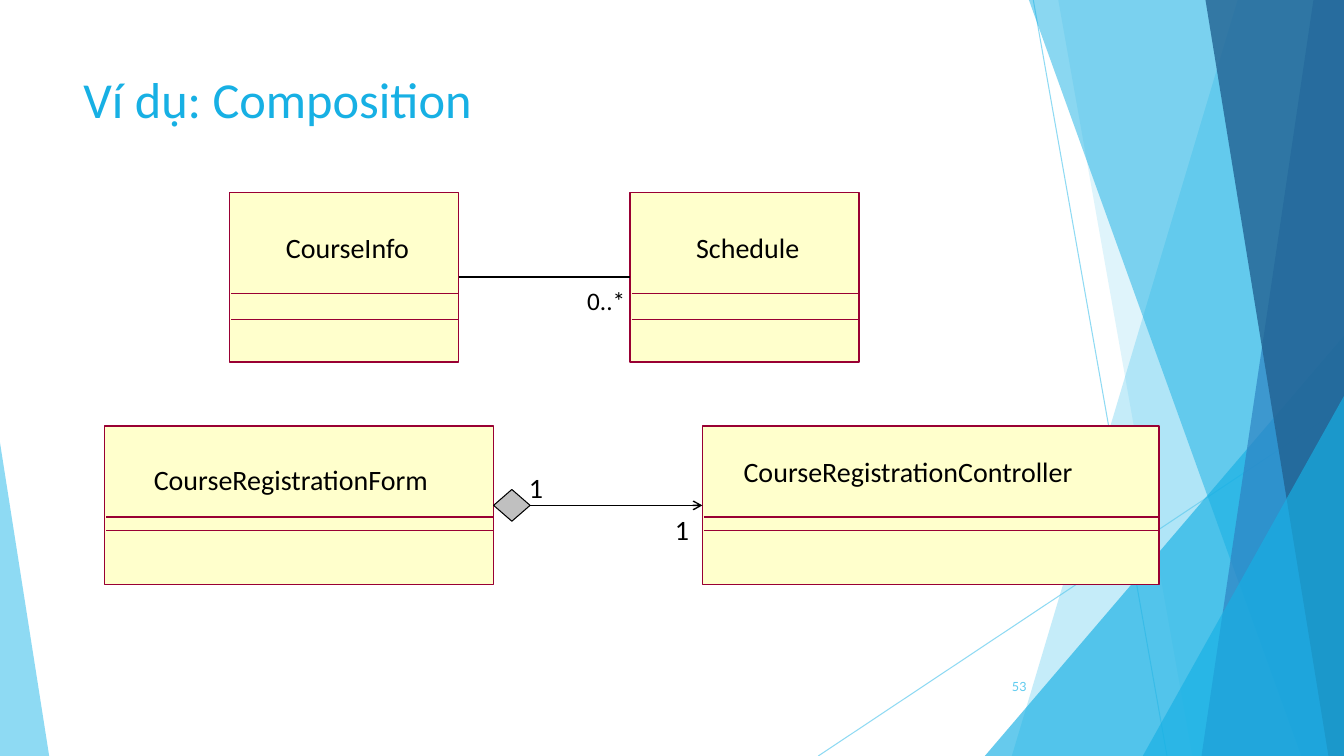
from pptx import Presentation
from pptx.dml.color import RGBColor
from pptx.enum.shapes import MSO_CONNECTOR, MSO_SHAPE
from pptx.enum.text import MSO_ANCHOR, PP_ALIGN
from pptx.oxml.ns import qn
from pptx.oxml.xmlchemy import OxmlElement
from pptx.util import Cm, Pt

STRAIGHT = MSO_CONNECTOR.STRAIGHT
RECTANGLE, DIAMOND, TRIANGLE = MSO_SHAPE.RECTANGLE, MSO_SHAPE.DIAMOND, MSO_SHAPE.ISOSCELES_TRIANGLE
TOP, MIDDLE = MSO_ANCHOR.TOP, MSO_ANCHOR.MIDDLE
LEFT, CENTER, RIGHT = PP_ALIGN.LEFT, PP_ALIGN.CENTER, PP_ALIGN.RIGHT
LEFT_SIDE, RIGHT_SIDE = 1, 3
WIDTH, HEIGHT = 33.87, 19.05


def rgb(value):
    return RGBColor.from_string(value)


class ClassDiagram:
    font = "Calibri"
    ink = "000000"
    border = "990033"
    class_fill = "FFFFCC"
    diamond_fill = "C0C0C0"
    sky, azure, steel, navy = "5FCBEF", "17B0E4", "2E83C3", "226292"

    def __init__(self, deck):
        self.slide = deck.slides.add_slide(deck.slide_layouts[6])
        self.shapes = self.slide.shapes

    def set_opacity(self, parent, percent):
        """Make the solid colour below parent partly transparent."""
        alpha = OxmlElement("a:alpha")
        alpha.set("val", str(percent * 1000))
        next(parent.iter(qn("a:srgbClr"))).append(alpha)

    def paint(self, shape, fill, opacity=100, outline=None, weight=1):
        shape.shadow.inherit = False
        shape.fill.solid()
        shape.fill.fore_color.rgb = rgb(fill)
        if opacity < 100:
            self.set_opacity(shape.element.spPr, opacity)
        if outline:
            shape.line.color.rgb = rgb(outline)
            shape.line.width = Pt(weight)
        else:
            shape.line.fill.background()

    def shape(self, kind, left, top, width, height, fill, **look):
        shape = self.shapes.add_shape(kind, Cm(left), Cm(top), Cm(width), Cm(height))
        self.paint(shape, fill, **look)
        return shape

    def triangle(self, left, top, width, apex, fill, opacity):
        """Draw a triangle standing on the bottom edge of the slide."""
        shape = self.shape(TRIANGLE, left, top, width, HEIGHT - top, fill, opacity=opacity)
        shape.adjustments[0] = apex

    def band(self, top_x, bottom_x, fill, opacity):
        """Fill from a slanted left edge to the right edge of the slide."""
        outline = self.shapes.build_freeform(Cm(top_x), Cm(0))
        corners = [(WIDTH, 0), (WIDTH, HEIGHT), (bottom_x, HEIGHT)]
        outline.add_line_segments([(Cm(x), Cm(y)) for x, y in corners], close=True)
        self.paint(outline.convert_to_shape(), fill, opacity)

    def line(self, x1, y1, x2, y2, color, weight=1, opacity=100, arrow=False):
        line = self.shapes.add_connector(STRAIGHT, Cm(x1), Cm(y1), Cm(x2), Cm(y2))
        line.line.color.rgb = rgb(color)
        line.line.width = Pt(weight)
        properties = line.element.spPr
        stroke = properties.find(qn("a:ln"))
        if opacity < 100:
            self.set_opacity(stroke, opacity)
        if arrow:
            head = OxmlElement("a:tailEnd")
            head.set("type", "arrow")
            stroke.append(head)
        properties.append(OxmlElement("a:effectLst"))
        return line

    def association(self, source, target, arrow=False):
        """Join the right side of source to the left side of target."""
        line = self.line(0, 0, 1, 1, self.ink, arrow=arrow)
        line.begin_connect(source, RIGHT_SIDE)
        line.end_connect(target, LEFT_SIDE)

    def text(self, text, left, top, width, height=1.12, size=20, color=ink,
             font=font, align=LEFT, anchor=TOP):
        box = self.shapes.add_textbox(Cm(left), Cm(top), Cm(width), Cm(height))
        frame = box.text_frame
        frame.word_wrap = True
        frame.vertical_anchor = anchor
        para = frame.paragraphs[0]
        para.alignment = align
        span = para.add_run()
        span.text = text
        span.font.name = font
        span.font.size = Pt(size)
        span.font.color.rgb = rgb(color)

    def class_box(self, name, left, top, width, height, name_area, dividers):
        """Draw a UML class; name_area is (dx, dy, width), dividers are offsets from the top."""
        box = self.shape(RECTANGLE, left, top, width, height, self.class_fill, outline=self.border)
        for offset in dividers:
            y = top + offset
            self.line(left + 0.04, y, left + width, y, self.border)
        dx, dy, name_width = name_area
        self.text(name, left + dx, top + dy, name_width, align=CENTER)
        return box

    def backdrop(self):
        self.line(26.04, 0, 29.41, HEIGHT, self.sky, 0.75, 70)
        self.line(WIDTH, 10.24, 20.62, HEIGHT, self.sky, 0.75, 70)
        self.band(31.19, 25.5, self.sky, 36)
        self.band(26.67, 30.05, self.sky, 20)
        self.triangle(24.82, 8.46, 9.05, 1, self.azure, 66)
        self.band(25.93, 32.79, self.azure, 50)
        self.band(33.1, 30.28, self.steel, 70)
        self.band(30.38, 33.48, self.navy, 80)
        self.triangle(28.8, 9.98, 5.07, 1, self.azure, 66)
        self.triangle(0, 11.15, 1.24, 0, self.sky, 70)

    def course_row(self):
        course, schedule = [
            self.class_box(name, left, 4.85, 5.77, 4.27, (0.68, 0.84, 4.57), (2.54, 3.2))
            for name, left in [("CourseInfo", 5.79), ("Schedule", 15.88)]
        ]
        self.association(course, schedule)
        self.text("0..*", 14.55, 7.06, 1.9, 1.02, size=18)

    def registration_row(self):
        top, height, dividers = 10.74, 3.99, (2.29, 2.63)
        self.class_box("CourseRegistrationForm", 2.64, top, 9.8, height,
                       (-0.43, 0.79, 10.24), dividers)
        controller = self.class_box("CourseRegistrationController", 17.7, top, 11.51, height,
                                    (-0.2, 0.59, 10.77), dividers)
        size = 0.8
        diamond = self.shape(DIAMOND, 12.44, top + (height - size) / 2, 0.92, size,
                             self.diamond_fill, outline=self.ink, weight=0.75)
        self.association(diamond, controller, arrow=True)
        self.text("1", 13.08, 11.73, 1.07)
        self.text("1", 16.76, 12.8, 1.07)


def main():
    deck = Presentation()
    deck.slide_width, deck.slide_height = Cm(WIDTH), Cm(HEIGHT)
    page = ClassDiagram(deck)
    page.backdrop()
    page.text("Ví dụ: Composition", 1.85, 1.6, 23.88, 3.66, size=36, color=page.azure)
    page.text("53", 23.5, 16.36, 2.62, 1.88, size=9, color=page.sky, font="Lato",
              align=RIGHT, anchor=MIDDLE)
    page.course_row()
    page.registration_row()
    deck.save("out.pptx")


if __name__ == "__main__":
    main()
